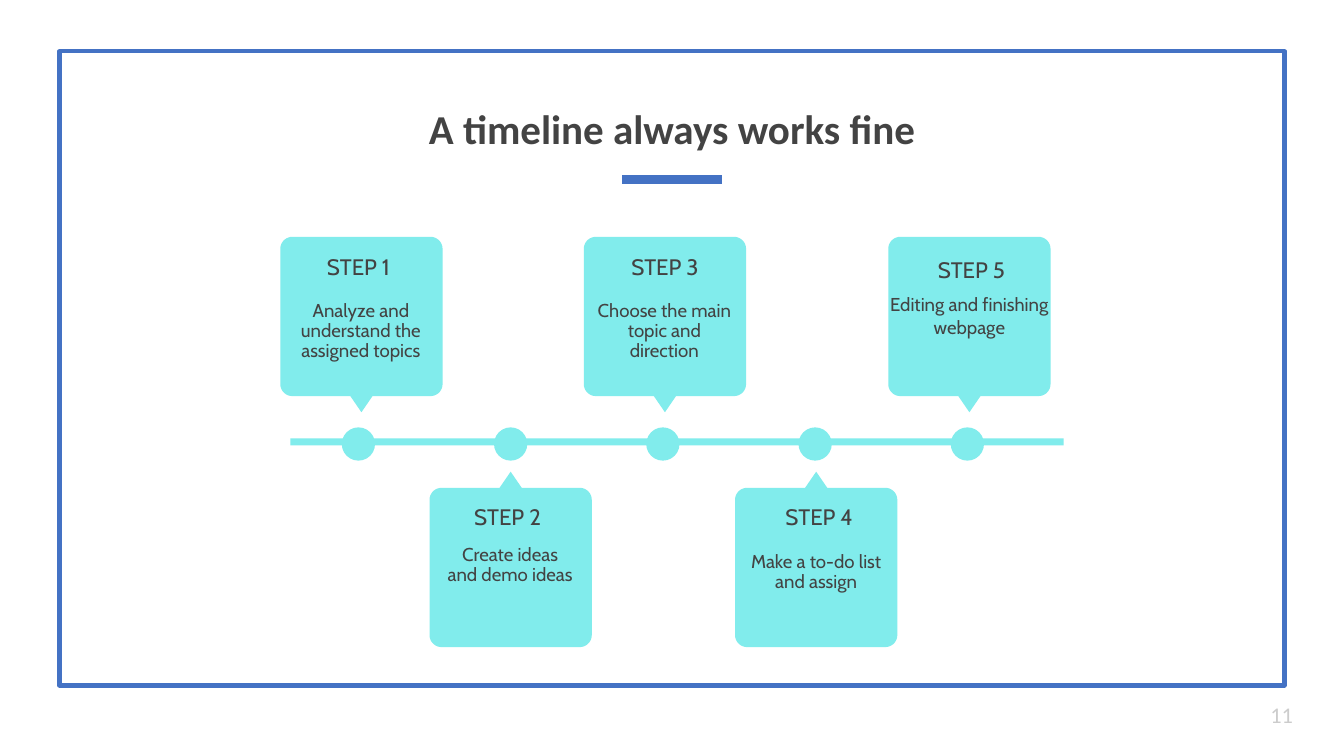
import math

import pptx
import pptx.util
import pptx.dml.color
import pptx.enum.shapes
import pptx.enum.text
import pptx.oxml.ns
from lxml import etree

Inches = pptx.util.Inches
Pt = pptx.util.Pt
RGBColor = pptx.dml.color.RGBColor
SHAPE = pptx.enum.shapes.MSO_SHAPE
ALIGN = pptx.enum.text.PP_ALIGN
ANCHOR = pptx.enum.text.MSO_ANCHOR

BLUE = RGBColor(0x44, 0x72, 0xC4)
AQUA = RGBColor(0x81, 0xEC, 0xEC)
DARK = RGBColor(0x43, 0x43, 0x43)
PALE = RGBColor(0xCC, 0xCC, 0xCC)


def write(holder, box, lines, size, font="Cabin", color=DARK, bold=False,
          spacing=0.9, align=ALIGN.CENTER, anchor=ANCHOR.TOP):
    for side, value in zip(("left", "top", "width", "height"), box):
        setattr(holder, side, Inches(value))
    frame = holder.text_frame
    frame_format = {"word_wrap": True, "vertical_anchor": anchor,
                    "auto_size": pptx.enum.text.MSO_AUTO_SIZE.NONE}
    for margin in ("margin_left", "margin_top", "margin_right", "margin_bottom"):
        frame_format[margin] = Inches(0.13)
    for key, value in frame_format.items():
        setattr(frame, key, value)
    frame.text = "\n".join(lines)
    for paragraph in frame.paragraphs:
        for key, value in {"alignment": align, "line_spacing": spacing,
                           "space_before": Pt(0), "space_after": Pt(0)}.items():
            setattr(paragraph, key, value)
        for key, value in {"name": font, "size": Pt(size), "bold": bold}.items():
            setattr(paragraph.runs[0].font, key, value)
        paragraph.runs[0].font.color.rgb = color


def paint(shape):
    shape.shadow.inherit = False
    shape.fill.solid()
    shape.fill.fore_color.rgb = AQUA
    shape.line.fill.background()


deck = pptx.Presentation()
deck.slide_width = Inches(13.33)
deck.slide_height = Inches(7.5)
slide = deck.slides.add_slide(deck.slide_layouts[5])
shapes = slide.shapes

border = shapes.add_shape(SHAPE.RECTANGLE, Inches(0.59), Inches(0.51), Inches(12.15), Inches(6.29))
border.shadow.inherit = False
border.fill.background()
border.line.color.rgb = BLUE
border.line.width = Pt(3)

underline = shapes.add_connector(pptx.enum.shapes.MSO_CONNECTOR.STRAIGHT,
                                 Inches(6.17), Inches(1.78), Inches(7.16), Inches(1.78))
underline.line.color.rgb = BLUE
underline.line.width = Pt(6)
etree.SubElement(underline._element.spPr, pptx.oxml.ns.qn("a:effectLst"))

write(shapes.title, (0, 0.32, 13.33, 1.33), ["A timeline always works fine"], 29.3,
      font="Calibri", bold=True, anchor=ANCHOR.BOTTOM)

CARD_WIDTH, CARD_HEIGHT, RADIUS = 1.61, 1.58, 0.12
TIP_HALF, TIP_HEIGHT = 0.11, 0.16
UPPER_TOP, LOWER_BOTTOM = 2.35, 6.42

middle = CARD_WIDTH / 2
card_outline = [(middle + TIP_HALF, CARD_HEIGHT), (middle, CARD_HEIGHT + TIP_HEIGHT),
                (middle - TIP_HALF, CARD_HEIGHT)]
corners = [(RADIUS, CARD_HEIGHT - RADIUS, 90), (RADIUS, RADIUS, 180),
           (CARD_WIDTH - RADIUS, RADIUS, 270), (CARD_WIDTH - RADIUS, CARD_HEIGHT - RADIUS, 0)]
for center_x, center_y, start in corners:
    for turn in range(0, 91, 10):
        angle = math.radians(start + turn)
        card_outline.append((center_x + RADIUS * math.cos(angle),
                             center_y + RADIUS * math.sin(angle)))

axis = shapes.add_shape(SHAPE.RECTANGLE, Inches(2.88), Inches(4.35), Inches(7.67), Inches(0.07))
paint(axis)

steps = [
    (2.78, (2.93, 2.41), (2.78, 2.86, 1.6, 1.2), ["Analyze and understand the assigned topics"], 0.9),
    (4.26, (4.41, 4.89), (4.29, 5.28, 1.54, 0.99), ["Create ideas and demo ideas"], 0.9),
    (5.79, (5.97, 2.41), (5.79, 2.86, 1.6, 0.99), ["Choose the main topic and direction"], 0.9),
    (7.29, (7.5, 4.89), (7.27, 5.35, 1.65, 0.99), ["Make a to-do list and assign"], 0.9),
    (8.81, (9.01, 2.41), (8.68, 2.78, 1.87, 0.99), ["Editing and finishing", "webpage"], 1.0),
]
DOT_LEFT, DOT_TOP, DOT_SIZE, DOT_PITCH = 3.39, 4.24, 0.33, 1.51

for index, (card_left, heading_at, detail_box, detail, spacing) in enumerate(steps):
    points = []
    for x, y in card_outline:
        card_y = LOWER_BOTTOM - y if index % 2 else UPPER_TOP + y
        points.append((Inches(card_left + x), Inches(card_y)))
    builder = shapes.build_freeform(*points[0])
    builder.add_line_segments(points[1:], close=True)
    paint(builder.convert_to_shape())

    dot = shapes.add_shape(SHAPE.OVAL, Inches(DOT_LEFT + index * DOT_PITCH), Inches(DOT_TOP),
                           Inches(DOT_SIZE), Inches(DOT_SIZE))
    paint(dot)

    write(shapes.add_textbox(0, 0, 0, 0), detail_box, detail, 13.3, spacing=spacing)
    write(shapes.add_textbox(0, 0, 0, 0), (*heading_at, 1.25, 0.49),
          [f"STEP {index + 1}"], 16, spacing=spacing)

write(shapes.add_textbox(0, 0, 0, 0), (12.47, 6.8, 0.8, 0.57), ["11"], 16,
      font="Calibri", color=PALE, spacing=1.0, align=ALIGN.LEFT, anchor=ANCHOR.MIDDLE)

deck.save("out.pptx")
